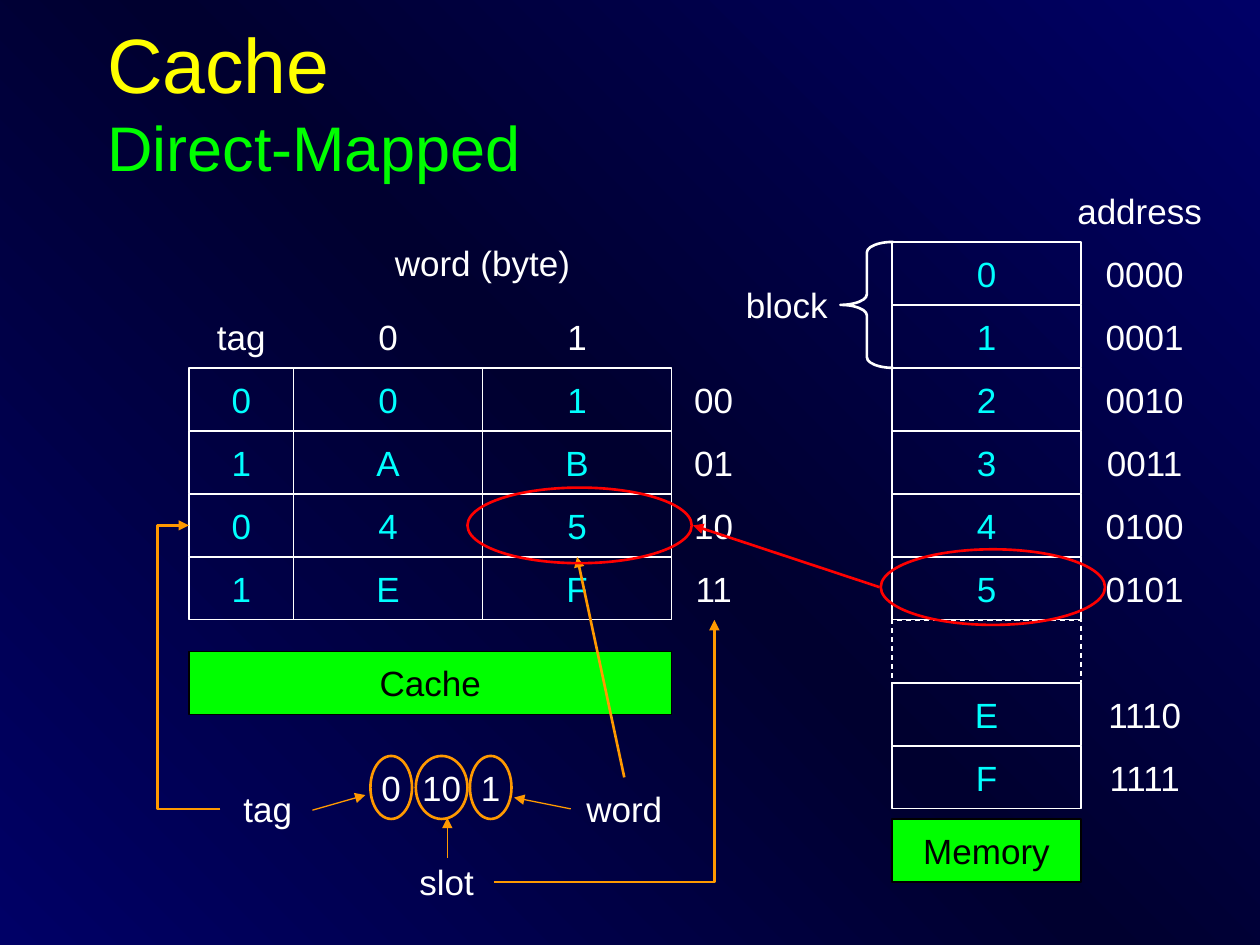
from copy import deepcopy
from pptx import Presentation
from pptx.dml.color import RGBColor
from pptx.enum.dml import MSO_LINE
from pptx.enum.shapes import MSO_CONNECTOR, MSO_SHAPE
from pptx.enum.text import MSO_ANCHOR, MSO_AUTO_SIZE, PP_ALIGN
from pptx.oxml.ns import qn
from pptx.oxml.xmlchemy import OxmlElement
from pptx.util import Inches, Pt

WHITE, CYAN, GREEN, BLACK = "FFFFFF", "00FFFF", "00FF00", "000000"
ORANGE, RED, YELLOW = "FF9900", "FF0000", "FFFF00"
ROW = 0.5  # height of every cell and label


def rgb(code):
    return RGBColor.from_string(code)


def style(font, size, color):
    look = {"name": "Arial", "size": Pt(size)}
    for key, value in look.items():
        setattr(font, key, value)
    font.color.rgb = rgb(color)


def write(shape, text, color):
    frame = shape.text_frame
    look = {"word_wrap": False, "auto_size": MSO_AUTO_SIZE.NONE,
            "vertical_anchor": MSO_ANCHOR.MIDDLE}
    for key, value in look.items():
        setattr(frame, key, value)
    para = frame.paragraphs[0]
    para.alignment = PP_ALIGN.CENTER
    run = para.add_run()
    run.text = text
    style(run.font, 20, color)


def label(slide, text, x, y, w):
    box = slide.shapes.add_textbox(Inches(x), Inches(y), Inches(w), Inches(ROW))
    write(box, text, WHITE)
    return box


def draw(slide, kind, x, y, w, h, line, width, fill=None):
    shape = slide.shapes.add_shape(
        kind, Inches(x), Inches(y), Inches(w), Inches(h))
    shape.shadow.inherit = False
    if fill:
        shape.fill.solid()
        shape.fill.fore_color.rgb = rgb(fill)
    else:
        shape.fill.background()
    shape.line.color.rgb = rgb(line)
    shape.line.width = Pt(width)
    return shape


def cell(slide, text, x, y, w):
    shape = draw(slide, MSO_SHAPE.RECTANGLE, x, y, w, ROW, WHITE, 0.75)
    write(shape, text, CYAN)
    return shape


def banner(slide, text, x, y, w):
    shape = draw(slide, MSO_SHAPE.RECTANGLE, x, y, w, ROW, BLACK, 0.75, GREEN)
    write(shape, text, BLACK)


def ring(slide, x, y, w, h, color):
    return draw(slide, MSO_SHAPE.OVAL, x, y, w, h, color, 1.5)


def arrow(slide, start, end, color, width, kind=MSO_CONNECTOR.STRAIGHT):
    link = slide.shapes.add_connector(kind, *map(Inches, start + end))
    link.line.color.rgb = rgb(color)
    link.line.width = Pt(width)
    tip = OxmlElement("a:tailEnd")
    tip.set("type", "triangle")
    link.line._get_or_add_ln().append(tip)
    link._element.spPr.append(OxmlElement("a:effectLst"))
    return link


def elbow(slide, start, end, preset, bend=None):
    link = arrow(slide, start, end, ORANGE, 1.5, MSO_CONNECTOR.ELBOW)
    geom = link._element.spPr.find(qn("a:prstGeom"))
    geom.set("prst", preset)
    if bend is not None:
        guide = OxmlElement("a:gd")
        guide.set("name", "adj1")
        guide.set("fmla", f"val {int(bend * 100000)}")
        geom.get_or_add_avLst().append(guide)


def backdrop(slide):
    fill = slide.background.fill
    fill.gradient()
    fill.gradient_angle = 225
    stops = slide._element.find(".//" + qn("a:gsLst"))
    stops.append(deepcopy(stops[-1]))
    shades = [(0, "000066"), (0.5, "00002F"), (1, "000066")]
    for stop, (place, color) in zip(fill.gradient_stops, shades):
        stop.position = place
        stop.color.rgb = rgb(color)


def heading(slide):
    title = slide.shapes.title
    spot = {"left": 0.75, "top": 0.17, "width": 8.5, "height": 1.25}
    for key, value in spot.items():
        setattr(title, key, Inches(value))
    frame = title.text_frame
    frame.auto_size = MSO_AUTO_SIZE.NONE
    frame.vertical_anchor = MSO_ANCHOR.MIDDLE
    para = frame.paragraphs[0]
    para.alignment = PP_ALIGN.LEFT
    for text, size, color in [("Cache", 44, YELLOW),
                              ("Direct-Mapped", 36, GREEN)]:
        if para.runs:
            para.add_line_break()
        run = para.add_run()
        run.text = text
        style(run.font, size, color)


def memory(slide):
    x, top, wide = 7.08, 1.92, 1.5
    # Dashed gap for the addresses left out
    gap = draw(slide, MSO_SHAPE.RECTANGLE, x, top + 6 * ROW, wide, ROW,
               WHITE, 0.75)
    gap.line.dash_style = MSO_LINE.DASH
    for row, text in enumerate("012345 EF"):
        if text != " ":
            cell(slide, text, x, top + row * ROW, wide)
            # The last two rows hold the last two of 16 addresses
            code = row if row < 6 else row + 7
            label(slide, f"{code:04b}", 8.75, top + row * ROW, 0.67)
    banner(slide, "Memory", x, 6.5, wide)
    label(slide, "address", 8.42, 1.42, 1.25)
    # Brace over the first block
    label(slide, "block", 5.83, 2.17, 0.83)
    brace = draw(slide, MSO_SHAPE.LEFT_BRACE, 6.67, top, 0.42, 2 * ROW,
                 WHITE, 1.5)
    brace.adjustments[0] = 0.2


def cache(slide):
    """Draws the cache and returns the cell of the chosen word."""
    top = 2.92
    cols = [("tag", 1.5, 0.83), ("0", 2.33, 1.5), ("1", 3.83, 1.5)]
    for text, x, wide in cols:
        label(slide, text, x, top - ROW, wide)
    label(slide, "word (byte)", 2.33, 1.83, 3)
    cells = {}
    for row, texts in enumerate(["001", "1AB", "045", "1EF"]):
        y = top + row * ROW
        for text, (_, x, wide) in zip(texts, cols):
            cells[text] = cell(slide, text, x, y, wide)
        label(slide, f"{row:02b}", 5.33, y, 0.67)
    banner(slide, "Cache", 1.5, 5.17, 3.83)
    return cells["5"]


def lookup(slide, target):
    # Address split into tag, slot and word
    for text, x, wide in [("0", 2.94, 0.33), ("10", 3.3, 0.41),
                          ("1", 3.73, 0.33)]:
        write(ring(slide, x, 6, wide, ROW, ORANGE), text, WHITE)
    label(slide, "tag", 1.75, 6.17, 0.75)
    label(slide, "slot", 3.17, 6.75, 0.75)
    word = label(slide, "word", 4.58, 6.17, 0.75)
    for start, end in [((3.55, 6.81), (3.55, 6.49)),
                       ((2.48, 6.43), (2.9, 6.31)),
                       ((4.53, 6.42), (4.08, 6.33))]:
        arrow(slide, start, end, ORANGE, 0.75)

    # Each part points to its place in the cache
    elbow(slide, (3.92, 7), (5.67, 4.92), "bentConnector2")
    elbow(slide, (1.75, 6.42), (1.5, 4.17), "bentConnector3", 2)
    link = arrow(slide, (4.96, 6.17), (4.58, 4.42), ORANGE, 1.5)
    link.begin_connect(word, 0)
    link.end_connect(target, 2)

    # Memory word and its cached twin
    for x, y in [(6.99, 4.36), (3.71, 3.87)]:
        ring(slide, x, y, 1.78, 0.6, RED)
    arrow(slide, (6.98, 4.66), (5.5, 4.17), RED, 1.5)


def main():
    deck = Presentation()
    deck.slide_width, deck.slide_height = Inches(10), Inches(7.5)
    slide = deck.slides.add_slide(deck.slide_layouts[5])
    backdrop(slide)
    heading(slide)
    memory(slide)
    target = cache(slide)
    lookup(slide, target)
    deck.save("out.pptx")


if __name__ == "__main__":
    main()
